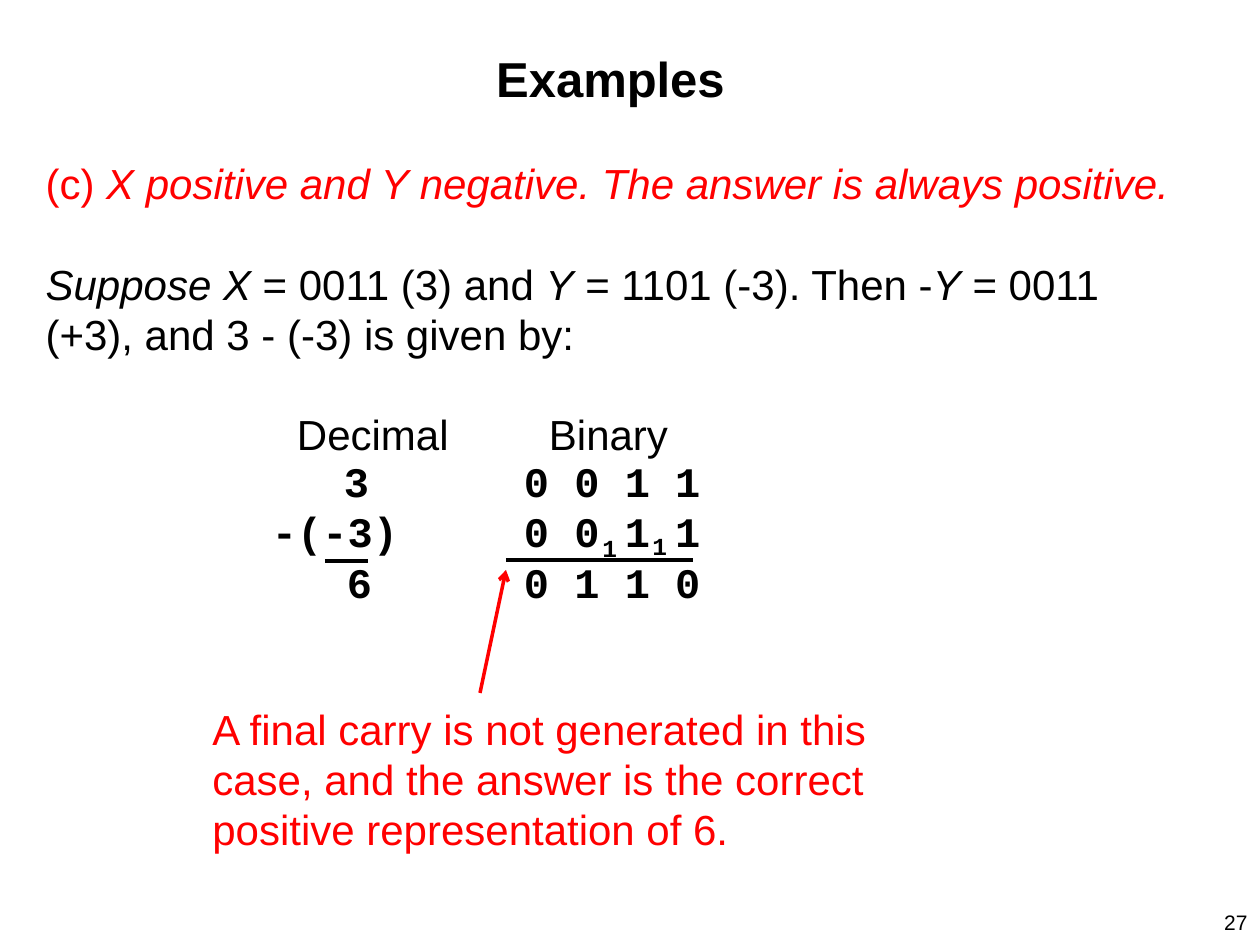
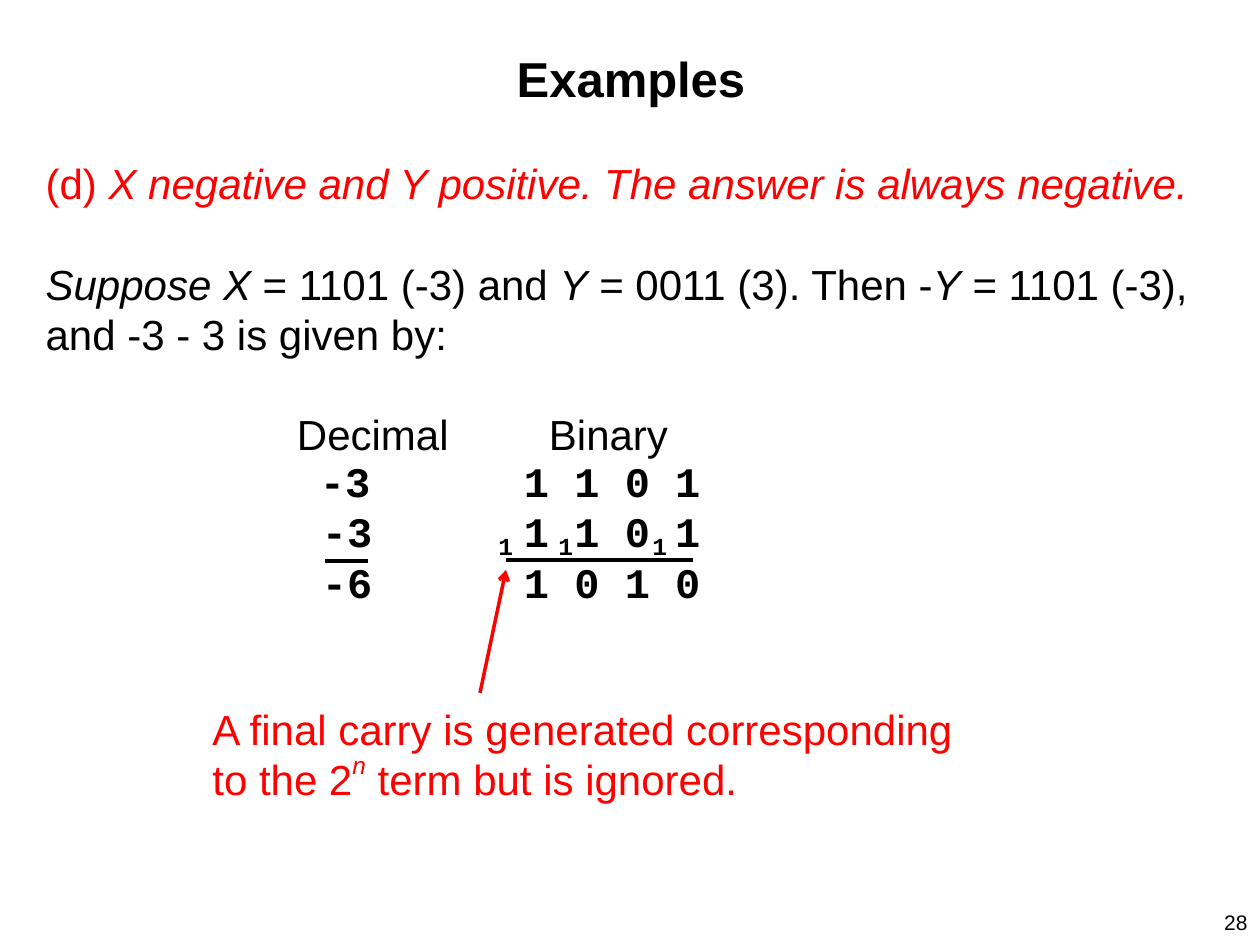
import pptx
import pptx.util
import pptx.dml.color
import pptx.enum.text
import pptx.enum.shapes
import pptx.oxml
import pptx.oxml.ns

# Shared look
HUES = {"ink": "000000", "note": "FF0000", "page": "FFFFFF"}
SANS, MONO = "Arial", "Courier New"
SCALE = 914400 // 126
LEAD = 1.2
BODY = 24
LEFT = 33
NO_STYLE = "{2D5ABB26-0587-4C30-8999-92F81FD0307C}"

# Sum table: column edges, top, row height, text starts
EDGES = (260, 500, 740)
TOP, ROW = 409, 50
HEADS = (297, 549)
BITS = 524

Align = pptx.enum.text.PP_ALIGN

# Each slide: number, text width, runs as (text, style), sums as (x, text, bits)
PAGES = [
    dict(
        num="27", wide=1155,
        rule=[("(c) ", ""),
              ("X positive and Y negative. The answer is always positive.", "i")],
        case=[("Suppose X", "i"), (" = 0011 (3) and ", ""), ("Y", "i"),
              (" = 1101 (-3). Then -", ""), ("Y", "i"),
              (" = 0011 (+3), and 3 - (-3) is given by:", "")],
        sums=[(344, "3", "0 0 1 1"), (272, "-(-3)", "0 0 1 1"),
              (347, "6", "0 1 1 0")],
        carries=[(590, 527), (640, 525)],
        note=[("A final carry is not generated in this case, and the answer "
               "is the correct positive representation of 6.", "")],
        span=682),
    dict(
        num="28", wide=1196,
        rule=[("(d) ", ""),
              ("X negative and Y positive. The answer is always negative.", "i")],
        case=[("Suppose X", "i"), (" = 1101 (-3) and ", ""), ("Y", "i"),
              (" = 0011 (3). Then -", ""), ("Y", "i"),
              (" = 1101 (-3), and -3 - 3 is given by:", "")],
        sums=[(320, "-3", "1 1 0 1"), (322, "-3", "1 1 0 1"),
              (322, "-6", "1 0 1 0")],
        carries=[(486, 525), (546, 525), (640, 525)],
        note=[("A final carry is generated corresponding to the 2", ""),
              ("n", "iu"), (" term but is ignored.", "")],
        span=786),
]


def px(n):
    return int(n * SCALE)


def rgb(hue):
    return pptx.dml.color.RGBColor.from_string(HUES[hue])


def add_xml(host, tag, **attrs):
    node = pptx.oxml.parse_xml(f"<a:{tag} {pptx.oxml.ns.nsdecls('a')}/>")
    for key, val in attrs.items():
        node.set(key, val)
    host.append(node)


def place(shape, x, y, w, h):
    shape.left, shape.top, shape.width, shape.height = map(px, (x, y, w, h))
    frame = shape.text_frame
    frame.auto_size = pptx.enum.text.MSO_AUTO_SIZE.NONE
    frame.vertical_anchor = pptx.enum.text.MSO_ANCHOR.TOP
    frame.word_wrap = True
    return frame


def write(para, runs, size=BODY, hue="ink", face=SANS, bold=False,
          align=Align.LEFT, gap=0, lead=True):
    """Fill a paragraph; style i is italic, u is raised."""
    para.alignment = align
    para.space_before = pptx.util.Pt(gap)
    if lead:
        para.line_spacing = pptx.util.Pt(size * LEAD)
    font = para.font
    font.size, font.name, font.bold = pptx.util.Pt(size), face, bold
    font.color.rgb = rgb(hue)
    for text, style in runs:
        run = para.add_run()
        run.text = text
        if "i" in style:
            run.font.italic = True
        if "u" in style:
            run.font._element.set("baseline", "50000")


def set_plain(para):
    """Drop the bullet and its indent."""
    props = para._p.get_or_add_pPr()
    props.set("marL", "0")
    props.set("indent", "0")
    font = props.find(pptx.oxml.ns.qn("a:defRPr"))
    add_xml(props, "buNone")
    props.append(font)


def add_label(slide, box, runs, **style):
    frame = place(slide.shapes.add_textbox(0, 0, 0, 0), *box)
    write(frame.paragraphs[0], runs, **style)
    return frame


def add_line(slide, start, end, hue="ink", arrow=False):
    line = slide.shapes.add_connector(
        pptx.enum.shapes.MSO_CONNECTOR.STRAIGHT,
        *map(px, start + end))
    line.line.color.rgb = rgb(hue)
    line.line.width = pptx.util.Pt(2)
    if arrow:
        add_xml(line.line._get_or_add_ln(), "tailEnd", type="arrow")
    add_xml(line._element.spPr, "effectLst")


def fill_body(frame, page):
    write(frame.paragraphs[0], page["rule"], hue="note")
    write(frame.add_paragraph(), page["case"], gap=BODY * LEAD)
    for para in frame.paragraphs:
        set_plain(para)


def add_sums(slide, sums):
    """Decimal and binary working; each text starts at its own x."""
    rows = [(HEADS, ("Decimal", "Binary"), {})]
    for x, text, bits in sums:
        rows.append(((x, BITS), (text, bits), dict(face=MONO, bold=True)))
    table = slide.shapes.add_table(
        len(rows), 2, px(EDGES[0]), px(TOP),
        px(EDGES[-1] - EDGES[0]), px(ROW * len(rows))).table
    table.first_row = table.horz_banding = False
    table._tbl.tblPr.find(pptx.oxml.ns.qn("a:tableStyleId")).text = NO_STYLE
    for c, col in enumerate(table.columns):
        col.width = px(EDGES[c + 1] - EDGES[c])
    for r, (starts, texts, style) in enumerate(rows):
        table.rows[r].height = px(ROW)
        for c, (x, text) in enumerate(zip(starts, texts)):
            cell = table.cell(r, c)
            cell.fill.background()
            cell.margin_left = px(x - EDGES[c])
            cell.margin_right = cell.margin_top = cell.margin_bottom = 0
            write(cell.text_frame.paragraphs[0], [(text, "")], **style)


def add_page(deck, page):
    slide = deck.slides.add_slide(deck.slide_layouts[1])
    slide.background.fill.solid()
    slide.background.fill.fore_color.rgb = rgb("page")

    # Title and working
    title = place(slide.shapes.title, LEFT, 42, page["wide"], 72)
    write(title.paragraphs[0], [("Examples", "")], size=28, bold=True,
          align=Align.CENTER)
    fill_body(place(slide.placeholders[1], LEFT, 151, page["wide"], 230), page)
    add_sums(slide, page["sums"])

    # Carries and sum lines
    for x, y in page["carries"]:
        frame = add_label(slide, (x, y, 40, 43), [("1", "")], size=14,
                          face=MONO, bold=True, lead=False)
        frame.word_wrap = False
    add_line(slide, (325, 561), (368, 561))
    add_line(slide, (506, 560), (693, 560))

    # Remark on the final carry
    add_line(slide, (480, 693), (506, 570), "note", arrow=True)
    add_label(slide, (200, 697, page["span"], 165), page["note"], hue="note")

    # Slide number
    add_label(slide, (998, 903, 262, 42), [(page["num"], "")], size=12,
              align=Align.RIGHT, lead=False)


def main():
    deck = pptx.Presentation()
    deck.slide_width, deck.slide_height = px(1260), px(945)
    for page in PAGES:
        add_page(deck, page)
    deck.save("out.pptx")


main()
